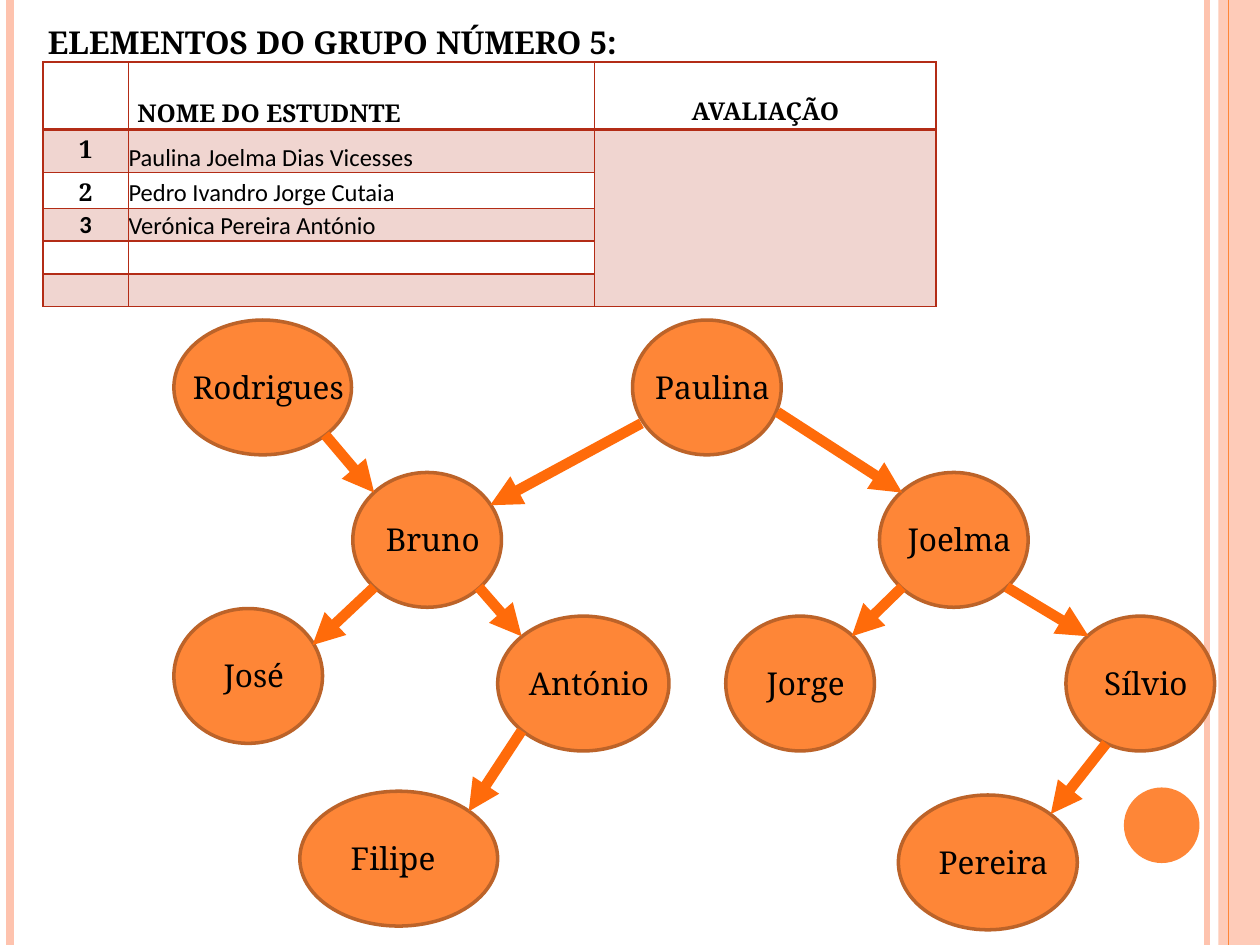
"""Build a slide with a student table and a family graph."""
from dataclasses import dataclass
from lxml import etree
from pptx import Presentation
from pptx.dml.color import RGBColor
from pptx.enum.shapes import MSO_CONNECTOR, MSO_SHAPE
from pptx.enum.text import MSO_ANCHOR, MSO_AUTO_SIZE, PP_ALIGN
from pptx.oxml.ns import qn
from pptx.util import Inches, Pt

LINE = MSO_CONNECTOR.STRAIGHT
OVAL, RECT = MSO_SHAPE.OVAL, MSO_SHAPE.RECTANGLE
TOP, MID, LOW = MSO_ANCHOR.TOP, MSO_ANCHOR.MIDDLE, MSO_ANCHOR.BOTTOM
LEFT, CENTER, FULL = PP_ALIGN.LEFT, PP_ALIGN.CENTER, PP_ALIGN.JUSTIFY


@dataclass(frozen=True)
class Theme:
    serif: str = "Noto Serif"
    sans: str = "Calibri"
    ink: str = "000000"
    orange: str = "FE8637"
    edge: str = "BC6329"
    arrow: str = "FF6B0A"
    peach: str = "FEC3AE"
    pale: str = "FECBB8"
    grid: str = "B32C16"
    band: str = "F0D5D0"
    big: int = 18
    small: int = 14


T = Theme()
TITLE = "ELEMENTOS DO GRUPO NÚMERO 5:"
HEADS = [("", LEFT), ("NOME DO ESTUDNTE", LEFT), ("AVALIAÇÃO", CENTER)]
STUDENTS = [
    ("1", "Paulina Joelma Dias Vicesses", T.serif),
    ("2", "Pedro Ivandro Jorge Cutaia", T.serif),
    ("3", "Verónica Pereira António", T.sans),
    ("", "", T.sans),
    ("", "", T.sans),
]
COLS = [0.68, 3.7, 2.71]
ROWS = [0.54, 0.34, 0.26, 0.26, 0.26, 0.26]
BARS = [(9.58, T.peach, 3), (0.08, T.peach, 4.5), (9.83, T.orange, 1.5)]
NODES = [
    ("Rodrigues", 1.38, 2.54, 1.41),
    ("Bruno", 2.8, 3.75, 1.18),
    ("José", 1.38, 4.83, 1.18),
    ("António", 3.95, 4.89, 1.36),
    ("Paulina", 5.02, 2.54, 1.18),
    ("Joelma", 6.98, 3.75, 1.18),
    ("Sílvio", 8.46, 4.89, 1.18),
    ("Jorge", 5.76, 4.89, 1.18),
    ("Pereira", 7.13, 6.31, 1.42),
    ("Filipe", 2.38, 6.28, 1.57),
]
SHIFT = {"Filipe": -0.09}
TALL = 1.07
ARROWS = [
    (2.58, 3.45, 2.97, 3.91),
    (2.97, 4.66, 2.48, 5.12),
    (3.8, 4.66, 4.14, 5.05),
    (5.09, 3.36, 3.89, 4.01),
    (6.17, 3.27, 7.16, 3.91),
    (7.99, 4.66, 8.64, 5.05),
    (7.16, 4.66, 6.76, 5.05),
    (8.78, 5.9, 8.34, 6.46),
    (4.14, 5.8, 3.72, 6.44),
]


def rgb(code):
    return RGBColor.from_string(code)


def write(frame, text, size, font=T.serif, bold=False, align=CENTER):
    para = frame.paragraphs[0]
    para.alignment = align
    if not text:
        etree.SubElement(para._p, qn("a:endParaRPr"), sz=str(size * 100))
        return para
    run = para.add_run()
    run.text = text
    run.font.size = Pt(size)
    run.font.name = font
    run.font.bold = bold
    run.font.color.rgb = rgb(T.ink)
    return para


def shape(shapes, kind, box, fill, edge=None):
    item = shapes.add_shape(kind, *map(Inches, box))
    item.shadow.inherit = False
    item.fill.solid()
    item.fill.fore_color.rgb = rgb(fill)
    if edge:
        item.line.color.rgb = rgb(edge)
        item.line.width = Pt(2)
    else:
        item.line.fill.background()


def line(shapes, ends, color, width, head=False):
    item = shapes.add_connector(LINE, *map(Inches, ends))
    item.line.color.rgb = rgb(color)
    item.line.width = Pt(width)
    if head:
        etree.SubElement(item.line._get_or_add_ln(), qn("a:tailEnd"), type="triangle")
    etree.SubElement(item._element.spPr, qn("a:effectLst"))


def border(cell, row):
    props = cell._tc.get_or_add_tcPr()
    thick = {0: "B", 1: "T"}.get(row)
    for side in "LRTB":
        width = Pt(2 if side == thick else 1)
        edge = etree.SubElement(props, qn("a:ln" + side), w=str(width))
        fill = etree.SubElement(edge, qn("a:solidFill"))
        etree.SubElement(fill, qn("a:srgbClr"), val=T.grid)


def fill_cell(cell, row, col):
    cell.margin_top = cell.margin_bottom = 0
    cell.margin_left = cell.margin_right = Inches(0.07)
    cell.vertical_anchor = TOP
    if row == 0:
        text, align = HEADS[col]
        cell.vertical_anchor = LOW
        if col == 2:
            cell.margin_bottom = Inches(0.02)
        write(cell.text_frame, text, T.small, bold=True, align=align)
    elif col == 0:
        mark, _, font = STUDENTS[row - 1]
        para = write(cell.text_frame, mark, T.small, font, True)
        para.line_spacing = 1.07
    elif col == 1:
        cell.margin_left = cell.margin_right = 0
        cell.vertical_anchor = LOW
        write(cell.text_frame, STUDENTS[row - 1][1], T.small, T.sans, align=LEFT)
    else:
        write(cell.text_frame, "", T.small)
    border(cell, row)
    if row % 2:
        cell.fill.solid()
        cell.fill.fore_color.rgb = rgb(T.band)
    else:
        cell.fill.background()


def add_grid(shapes):
    box = (0.34, 0.49, sum(COLS), sum(ROWS))
    grid = shapes.add_table(len(ROWS), len(COLS), *map(Inches, box)).table
    grid.first_row = grid.horz_banding = False
    for col, width in enumerate(COLS):
        grid.columns[col].width = Inches(width)
    for row, height in enumerate(ROWS):
        grid.rows[row].height = Inches(height)
        for col in range(len(COLS)):
            fill_cell(grid.cell(row, col), row, col)
    grid.cell(1, 2).merge(grid.cell(len(ROWS) - 1, 2))


def add_node(shapes, name, x, y, wide):
    group = shapes.add_group_shape().shapes
    shape(group, OVAL, (x, y, wide, TALL), T.orange, T.edge)
    box = (x + SHIFT.get(name, 0), y + 0.33, wide + 0.09, 0.4)
    label = group.add_textbox(*map(Inches, box)).text_frame
    label.word_wrap = True
    write(label, name, T.big)


def add_title(slide):
    title = slide.shapes.title
    title.left, title.top, title.width, title.height = map(Inches, (0.28, 0.13, 8.19, 0.4))
    frame = title.text_frame
    frame.word_wrap = True
    frame.auto_size = MSO_AUTO_SIZE.NONE
    frame.vertical_anchor = MID
    write(frame, TITLE, T.big, bold=True, align=FULL)


def main():
    deck = Presentation()
    deck.slide_width, deck.slide_height = Inches(10), Inches(7.5)
    slide = deck.slides.add_slide(deck.slide_layouts[5])
    shapes = slide.shapes
    add_title(slide)
    for x, color, width in BARS:
        line(shapes, (x, 0, x, 7.5), color, width)
    shape(shapes, RECT, (9.67, 0, 0.33, 7.5), T.pale)
    line(shapes, (9.75, 0, 9.75, 7.5), T.orange, 0.75)
    shape(shapes, OVAL, (8.92, 6.25, 0.6, 0.6), T.orange)
    add_grid(shapes)
    for node in NODES:
        add_node(shapes, *node)
    for ends in ARROWS:
        line(shapes, ends, T.arrow, 6, head=True)
    deck.save("out.pptx")


main()
